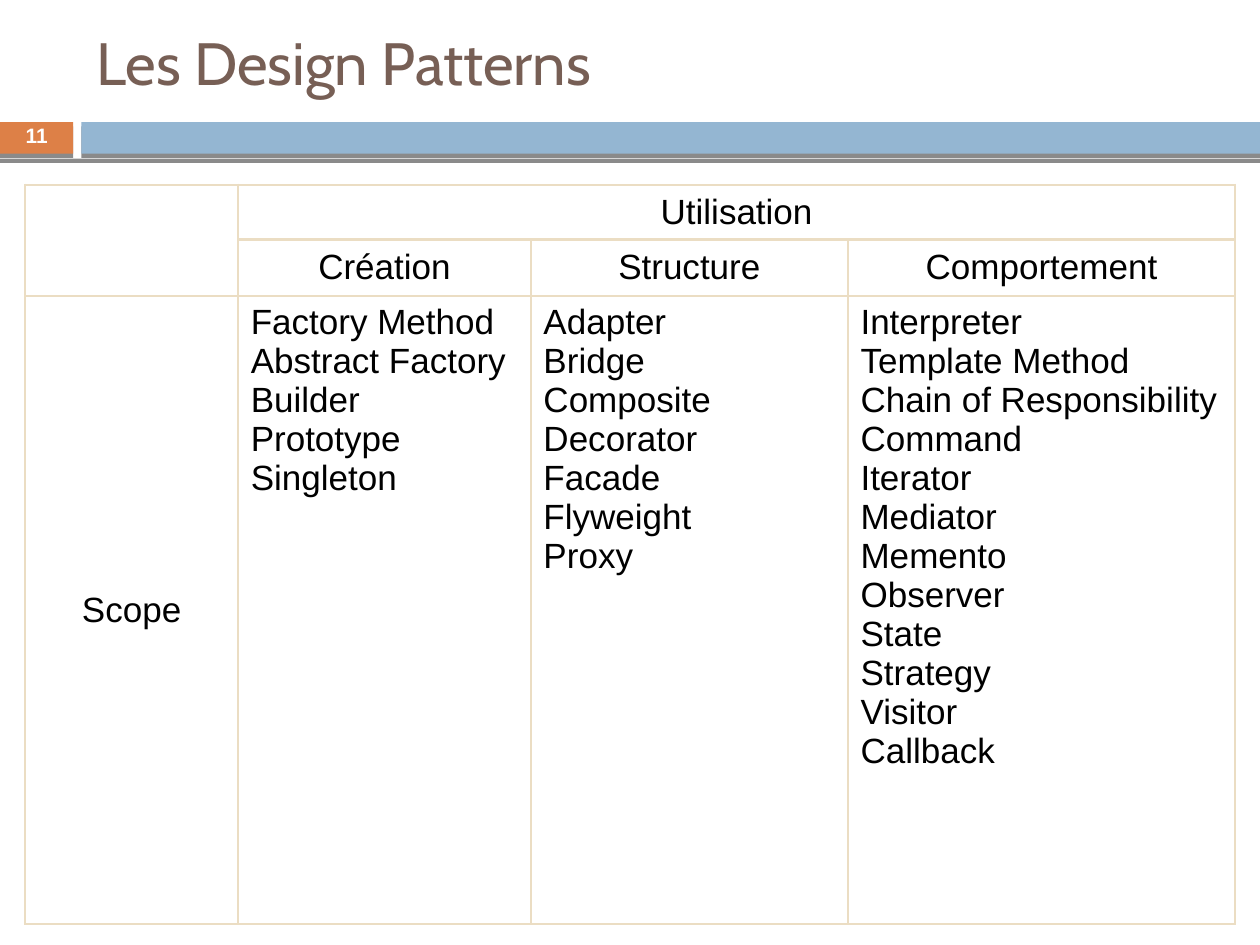
from dataclasses import dataclass

from lxml.etree import SubElement
from pptx import Presentation
from pptx.dml.color import RGBColor as RGB
from pptx.enum.shapes import MSO_SHAPE as Preset
from pptx.enum.text import MSO_AUTO_SIZE as AutoSize
from pptx.enum.text import MSO_VERTICAL_ANCHOR as Anchor
from pptx.enum.text import PP_ALIGN as Align
from pptx.oxml.ns import qn
from pptx.util import Pt


@dataclass(frozen=True)
class Theme:
    white: str = "FFFFFF"
    black: str = "000000"
    brown: str = "775F55"
    orange: str = "DD8047"
    blue: str = "94B6D2"
    sand: str = "EBDDC3"
    heading_font: str = "Cabin"
    body_font: str = "Arial"
    title_size: float = 34.1
    number_size: float = 11.9
    table_size: float = 20
    border_width: float = 1.47


THEME = Theme()
TITLE = {"name": THEME.heading_font, "size": Pt(THEME.title_size), "color": THEME.brown}
NUMBER = {"name": THEME.body_font, "size": Pt(THEME.number_size),
          "color": THEME.white, "bold": True}
CELL = {"name": THEME.body_font, "size": Pt(THEME.table_size), "color": THEME.black}

BANDS = [
    (0, 65.5, 720, 25.2, THEME.white),
    (0, 69.8, 41.9, 18, THEME.orange),
    (46.5, 69.8, 673.5, 18, THEME.blue),
]
COLUMN_WIDTHS = [121.7, 167.3, 181.2, 221.3]
ROW_HEIGHTS = [28.1, 32.4, 358.6]
USES = ["Création", "Structure", "Comportement"]
PATTERNS = [
    ["Factory Method", "Abstract Factory", "Builder\nPrototype\nSingleton"],
    ["Adapter\nBridge\nComposite\nDecorator\nFacade", "Flyweight\nProxy"],
    ["Interpreter\nTemplate Method",
     "Chain of Responsibility\nCommand\nIterator\nMediator\nMemento\n"
     "Observer\nState\nStrategy\nVisitor",
     "Callback"],
]


def write(text_frame, paragraphs, font_format, align=Align.LEFT, line_spacing=None):
    for index, text in enumerate(paragraphs):
        paragraph = text_frame.paragraphs[0] if index == 0 else text_frame.add_paragraph()
        paragraph.text = text
        paragraph.alignment = align
        paragraph.line_spacing = line_spacing
        for run in paragraph.runs:
            for key, value in font_format.items():
                if key == "color":
                    run.font.color.rgb = RGB.from_string(value)
                else:
                    setattr(run.font, key, value)


def add_shadow(shape):
    effects = SubElement(shape.element.spPr, qn("a:effectLst"))
    shadow = SubElement(effects, qn("a:outerShdw"), blurRad="0", dist=str(Pt(2.4)),
                        dir="5400000", algn="ctr", rotWithShape="0")
    color = SubElement(shadow, qn("a:srgbClr"), val=THEME.black)
    SubElement(color, qn("a:alpha"), val="45000")


def add_band(slide, left, top, width, height, color):
    shape = slide.shapes.add_shape(Preset.RECTANGLE, Pt(left), Pt(top), Pt(width), Pt(height))
    shape.fill.solid()
    shape.fill.fore_color.rgb = RGB.from_string(color)
    shape.line.fill.background()
    add_shadow(shape)


def set_title(slide, text):
    title = slide.shapes.title
    box = {"left": Pt(48), "top": Pt(18), "width": Pt(642), "height": Pt(42.5)}
    for key, value in box.items():
        setattr(title, key, value)
    frame = title.text_frame
    frame.auto_size = AutoSize.NONE
    frame.vertical_anchor = Anchor.MIDDLE
    write(frame, [text], TITLE, line_spacing=0.8)


def add_slide_number(slide, text):
    frame = slide.shapes.add_textbox(0, Pt(69), Pt(41.9), Pt(19.4)).text_frame
    frame.word_wrap = True
    frame.vertical_anchor = Anchor.MIDDLE
    write(frame, [text], NUMBER, Align.CENTER, 0.8)


def format_cell(cell):
    properties = cell._tc.get_or_add_tcPr()
    for side in ("lnL", "lnR", "lnT", "lnB"):
        line = SubElement(properties, qn(f"a:{side}"), w=str(Pt(THEME.border_width)))
        SubElement(SubElement(line, qn("a:solidFill")), qn("a:srgbClr"), val=THEME.sand)
    cell.fill.background()


def write_heading(cell, text):
    cell.vertical_anchor = Anchor.MIDDLE
    write(cell.text_frame, [text], CELL, Align.CENTER)


def add_pattern_table(slide):
    table = slide.shapes.add_table(
        len(ROW_HEIGHTS), len(COLUMN_WIDTHS), Pt(14.4), Pt(105.6),
        Pt(sum(COLUMN_WIDTHS)), Pt(sum(ROW_HEIGHTS))).table
    table.first_row = table.horz_banding = False
    for column, width in zip(table.columns, COLUMN_WIDTHS):
        column.width = Pt(width)
    for row, height in zip(table.rows, ROW_HEIGHTS):
        row.height = Pt(height)
    for cell in table.iter_cells():
        format_cell(cell)
    table.cell(0, 0).merge(table.cell(1, 0))
    table.cell(0, 1).merge(table.cell(0, 3))
    write_heading(table.cell(0, 1), "Utilisation")
    write_heading(table.cell(2, 0), "Scope")
    for column, (use, patterns) in enumerate(zip(USES, PATTERNS), start=1):
        write_heading(table.cell(1, column), use)
        write(table.cell(2, column).text_frame, patterns, CELL)


def main():
    presentation = Presentation()
    presentation.slide_width, presentation.slide_height = Pt(720), Pt(540)
    slide = presentation.slides.add_slide(presentation.slide_layouts.get_by_name("Title Only"))
    for band in BANDS:
        add_band(slide, *band)
    set_title(slide, "Les Design Patterns")
    add_slide_number(slide, "11")
    add_pattern_table(slide)
    presentation.save("out.pptx")


if __name__ == "__main__":
    main()
